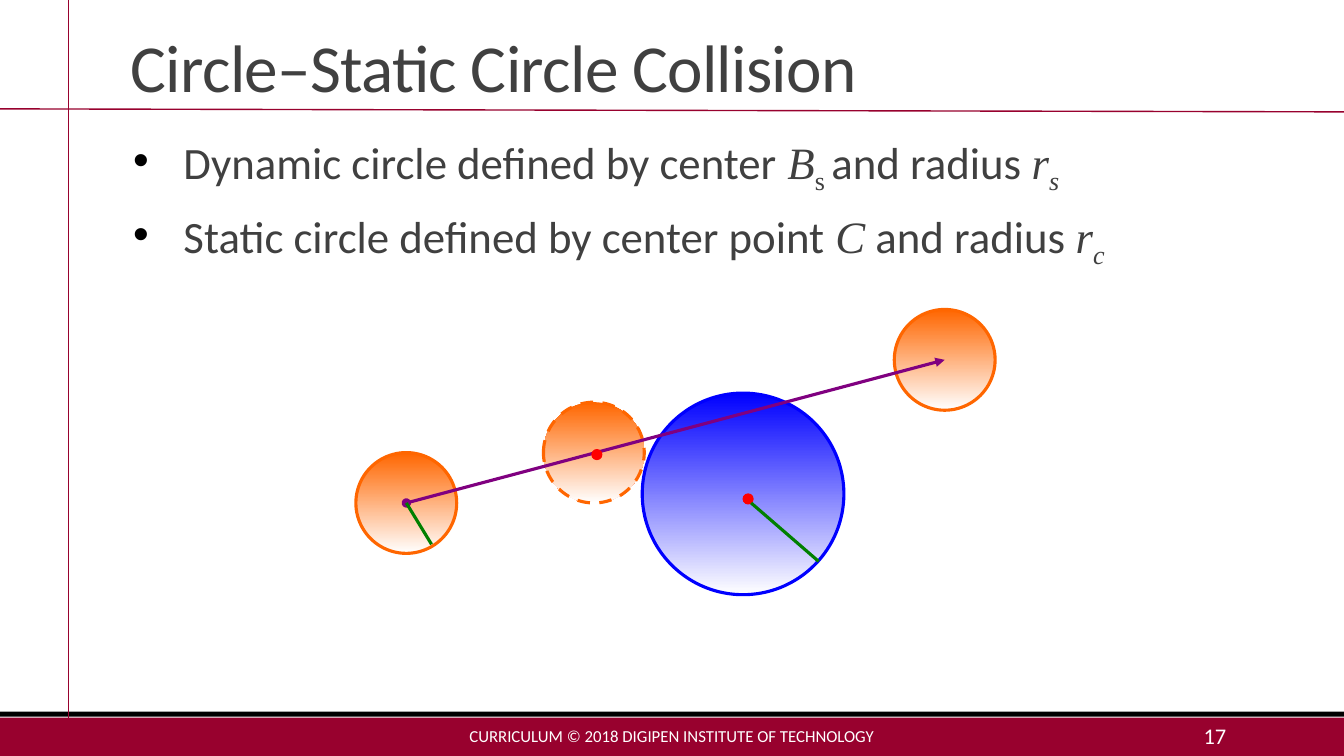
from lxml.etree import SubElement
from pptx import Presentation
from pptx.dml.color import RGBColor
from pptx.enum.dml import MSO_LINE
from pptx.enum.shapes import MSO_CONNECTOR, MSO_SHAPE
from pptx.enum.text import MSO_ANCHOR, PP_ALIGN
from pptx.oxml.ns import qn
from pptx.util import Inches, Pt

MAROON = RGBColor(0x98, 0x01, 0x2E)
BLACK = RGBColor(0, 0, 0)
WHITE = RGBColor(0xFF, 0xFF, 0xFF)
GREY = RGBColor(0x40, 0x40, 0x40)
BLUE = RGBColor(0, 0, 0xFF)
ORANGE = RGBColor(0xFF, 0x66, 0x00)
RED = RGBColor(0xFF, 0, 0)
PURPLE = RGBColor(0x80, 0, 0x80)
GREEN = RGBColor(0, 0x80, 0)

WIDTH, HEIGHT = 13.33, 7.5
START, END = (4.03, 4.99), (9.37, 3.57)
CONTACT = (5.89, 4.49)
STATIC_CENTER = (7.37, 4.9)
RADIUS, STATIC_RADIUS = 0.5, 1


def add_run(p, text, size=32, font="Calibri", color=GREY, italic=False, baseline=0, spacing=0):
    """Add a run; baseline is in percent and spacing in points."""
    r = p.add_run()
    r.text = text
    r.font.size = Pt(size)
    r.font.name = font
    r.font.color.rgb = color
    r.font.italic = italic
    rPr = r._r.get_or_add_rPr()
    if baseline:
        rPr.set("baseline", str(baseline * 1000))
    if spacing:
        rPr.set("spc", str(int(spacing * 100)))


def add_bullet(p, left, hanging):
    pPr = p._p.get_or_add_pPr()
    pPr.set("marL", str(Inches(left)))
    pPr.set("indent", str(-Inches(hanging)))
    color = SubElement(pPr, qn("a:buClr"))
    SubElement(color, qn("a:srgbClr"), val=str(BLACK))
    SubElement(pPr, qn("a:buFont"), typeface="Arial")
    SubElement(pPr, qn("a:buChar"), char="•")


class Deck:
    def __init__(self):
        self.prs = Presentation()
        self.prs.slide_width = Inches(WIDTH)
        self.prs.slide_height = Inches(HEIGHT)
        self.s = self.prs.slides.add_slide(self.prs.slide_layouts[6])

    def shape(self, kind, left, top, width, height, color):
        sp = self.s.shapes.add_shape(
            kind, Inches(left), Inches(top), Inches(width), Inches(height))
        sp.shadow.inherit = False
        sp.fill.solid()
        sp.fill.fore_color.rgb = color
        sp.line.fill.background()
        return sp

    def bar(self, top, height, color):
        self.shape(MSO_SHAPE.RECTANGLE, 0, top, WIDTH, height, color)

    def circle(self, center, radius, color, line_width=2.25):
        x, y = center
        sp = self.shape(MSO_SHAPE.OVAL, x - radius, y - radius, 2 * radius, 2 * radius, color)
        sp.line.color.rgb = color
        sp.line.width = Pt(line_width)
        return sp

    def ball(self, center, radius, color, dashed=False):
        """Draw a circle that fades to white at the bottom."""
        sp = self.circle(center, radius, color)
        sp.fill.gradient()
        sp.fill.gradient_angle = 270
        for stop, stop_color, position in zip(sp.fill.gradient_stops, (color, WHITE), (0, 1)):
            stop.color.rgb = stop_color
            stop.position = position
        if dashed:
            sp.line.dash_style = MSO_LINE.DASH

    def dot(self, center):
        self.circle(center, 0.05, RED, line_width=0.75)

    def line(self, start, end, color, width=2.25, arrow=False):
        c = self.s.shapes.add_connector(
            MSO_CONNECTOR.STRAIGHT, *(Inches(v) for v in (*start, *end)))
        c.line.color.rgb = color
        c.line.width = Pt(width)
        if arrow:
            ln = c.line._get_or_add_ln()
            SubElement(ln, qn("a:headEnd"), type="oval")
            SubElement(ln, qn("a:tailEnd"), type="triangle")
        SubElement(c._element.spPr, qn("a:effectLst"))

    def text_box(self, left, top, width, height, anchor, inset=0.1):
        box = self.s.shapes.add_textbox(
            Inches(left), Inches(top), Inches(width), Inches(height))
        tf = box.text_frame
        tf.word_wrap = True
        tf.vertical_anchor = anchor
        tf.margin_left = tf.margin_right = Inches(inset)
        return tf

    def label(self, left, top, width, height, text, align=PP_ALIGN.LEFT,
              anchor=MSO_ANCHOR.MIDDLE, line_spacing=1.0, **style):
        p = self.text_box(left, top, width, height, anchor).paragraphs[0]
        p.alignment = align
        p.line_spacing = line_spacing
        add_run(p, text, **style)

    def bullets(self, left, top, width, height, items):
        tf = self.text_box(left, top, width, height, MSO_ANCHOR.TOP, inset=0)
        for i, runs in enumerate(items):
            p = tf.add_paragraph() if i else tf.paragraphs[0]
            add_bullet(p, 0.62, 0.5)
            p.line_spacing = 0.9
            p.space_before = Pt(12 if i else 0)
            p.space_after = Pt(2)
            for text, style in runs:
                add_run(p, text, **style)


def main():
    deck = Deck()
    deck.bar(7.12, 0.38, MAROON)
    deck.bar(7.06, 0.05, BLACK)
    deck.line((0.68, 0), (0.68, 7.12), MAROON, width=1)
    deck.line((0, 1.08), (WIDTH, 1.11), MAROON, width=1)

    deck.label(1.2, 0.16, 11, 0.94, "Circle–Static Circle Collision",
               anchor=MSO_ANCHOR.BOTTOM, line_spacing=0.85, size=48, spacing=-0.5)
    plain = {}
    symbol = dict(font="Times New Roman", italic=True)
    subscript = dict(symbol, baseline=-25)
    deck.bullets(1.2, 1.29, 11, 5.64, [
        [("Dynamic circle defined by center ", plain), ("B", symbol),
         ("s ", dict(subscript, italic=False)), ("and radius ", plain),
         ("r", symbol), ("s", subscript)],
        [("Static circle defined by center point ", plain), ("C", symbol),
         (" and radius ", plain), ("r", symbol), ("c", subscript)],
    ])
    deck.label(4.03, 7.1, 5.27, 0.4, "CURRICULUM © 2018 DIGIPEN INSTITUTE OF TECHNOLOGY",
               align=PP_ALIGN.CENTER, size=12, color=WHITE)
    deck.label(10.83, 7.1, 1.43, 0.4, "17", align=PP_ALIGN.RIGHT, size=16, color=WHITE)

    deck.ball(STATIC_CENTER, STATIC_RADIUS, BLUE)
    deck.ball(START, RADIUS, ORANGE)
    deck.dot((7.42, 4.95))
    deck.ball(END, RADIUS, ORANGE)
    deck.ball(CONTACT, RADIUS, ORANGE, dashed=True)
    deck.line(START, END, PURPLE, arrow=True)
    deck.dot((5.92, 4.51))
    deck.line((7.45, 4.99), (8.12, 5.57), GREEN)
    deck.line(START, (4.28, 5.4), GREEN)

    deck.prs.save("out.pptx")


if __name__ == "__main__":
    main()
